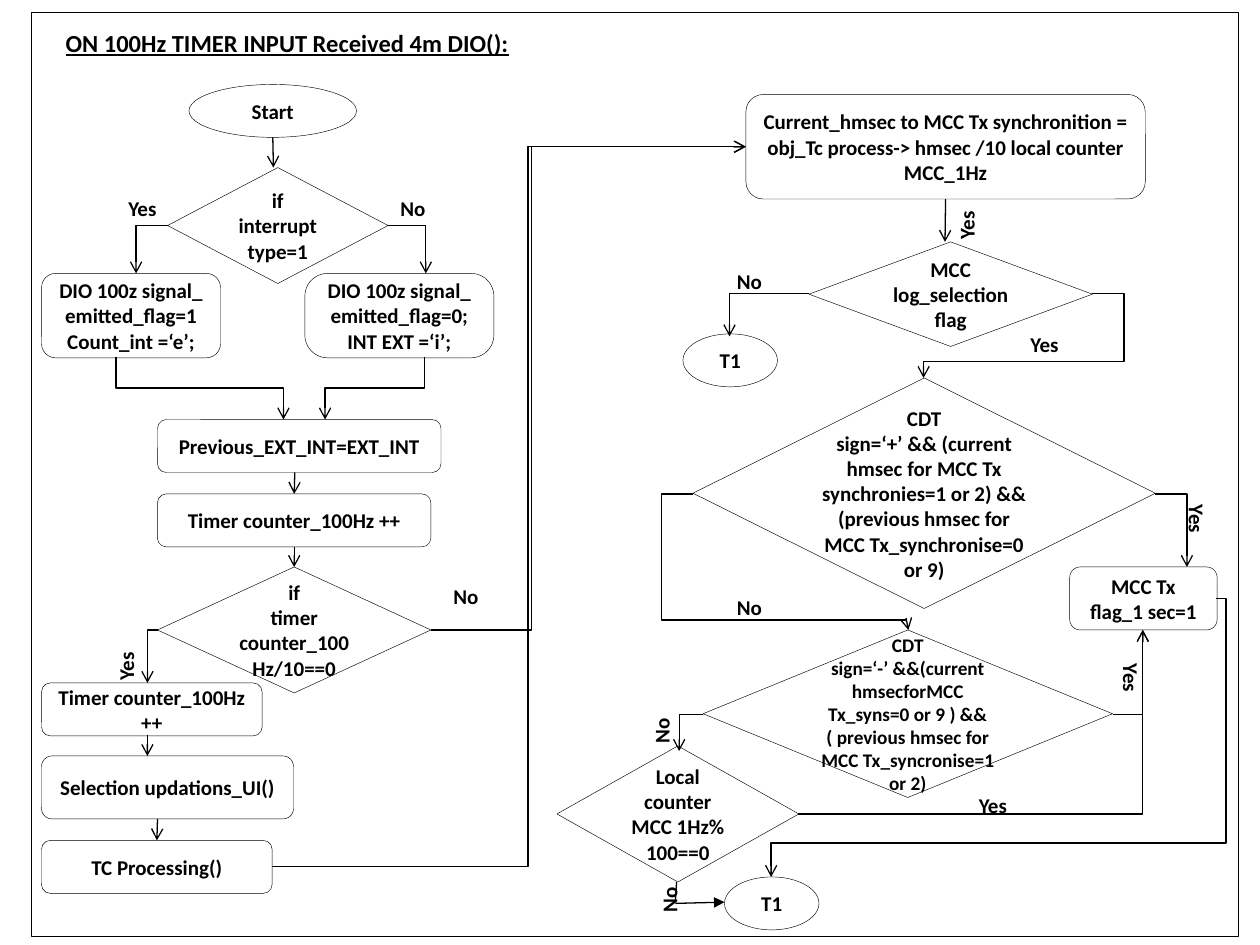
from lxml import etree
from pptx import Presentation
from pptx.dml.color import RGBColor
from pptx.enum.shapes import MSO_CONNECTOR, MSO_SHAPE
from pptx.enum.text import MSO_ANCHOR, MSO_AUTO_SIZE, PP_ALIGN
from pptx.oxml.ns import qn
from pptx.util import Inches, Pt

OVAL, DECISION = MSO_SHAPE.OVAL, MSO_SHAPE.FLOWCHART_DECISION
STEP, FRAME = MSO_SHAPE.ROUNDED_RECTANGLE, MSO_SHAPE.RECTANGLE
STRAIGHT, ELBOW = MSO_CONNECTOR.STRAIGHT, MSO_CONNECTOR.ELBOW
TOP, LEFT, BOTTOM, RIGHT = range(4)
INK = "000000"
LABEL_SIZE = (0.5, 0.3)

LEFT_NODES = {
    "start": (OVAL, 1.25, 0.17, 1.33, 0.42, "Start"),
    "interrupt": (DECISION, 1.08, 0.83, 1.75, 0.92, "if\ninterrupt type=1"),
    "internal": (STEP, 0.08, 1.67, 1.42, 0.67,
                 "DIO 100z signal_ emitted_flag=1\nCount_int =‘e’;"),
    "external": (STEP, 2.17, 1.67, 1.5, 0.67,
                 "DIO 100z signal_ emitted_flag=0; INT EXT =‘i’;"),
    "previous": (STEP, 1, 2.83, 2.25, 0.42, "Previous_EXT_INT=EXT_INT"),
    "counter": (STEP, 1, 3.42, 2.17, 0.42, "Timer counter_100Hz ++"),
    "tenth": (DECISION, 1, 4, 2.17, 1, "if\ntimer counter_100Hz/10==0"),
    "recount": (STEP, 0.08, 4.92, 1.75, 0.42, "Timer counter_100Hz ++"),
    "selection": (STEP, 0.08, 5.5, 2, 0.5, "Selection updations_UI()"),
    "processing": (STEP, 0.08, 6.17, 1.83, 0.42, "TC Processing()"),
}
LEFT_ARROWS = [
    ((1.92, 0.58), (1.92, 0.83), "start", None, "arrow"),
    ((2.09, 3.25), (2.08, 3.42), None, "counter", "arrow"),
    ((2.08, 3.83), (2.08, 4), "counter", "tenth", "arrow"),
    ((0.92, 5.33), (0.92, 5.5), None, None, "arrow"),
    ((1, 6), (1, 6.17), None, "processing", "arrow"),
]
LEFT_ROUTES = [
    [(2.83, 1.29), (3.13, 1.29), (3.13, 1.67)],
    [(1.08, 1.29), (0.83, 1.29), (0.83, 1.67)],
    [(0.67, 2.33), (0.67, 2.58), (2, 2.58), (2, 2.83)],
    [(3.12, 2.33), (3.12, 2.58), (2.33, 2.58), (2.33, 2.83)],
    [(1, 4.5), (0.92, 4.5), (0.92, 4.92)],
]
LEFT_LABELS = [("Yes", 0.67, 1, 0), ("No", 2.83, 1, 0),
               ("Yes", 0.5, 4.6, 270), ("No", 3.25, 4.08, 0)]

RIGHT_NODES = {
    "current": (STEP, 1.67, 0.25, 3.17, 0.83,
                "Current_hmsec to MCC Tx synchronition = obj_Tc process-> "
                "hmsec /10 local counter MCC_1Hz"),
    "log": (DECISION, 2.17, 1.42, 2.25, 0.83, "MCC log_selection flag"),
    "plus": (DECISION, 1.25, 2.5, 3.67, 1.83,
             "CDT\nsign=‘+’ && (current hmsec for MCC Tx synchronies=1 or 2) && "
             "(previous hmsec for MCC Tx_synchronise=0 or 9)"),
    "flag": (STEP, 4.24, 4, 1.17, 0.5, "MCC Tx flag_1 sec=1"),
    "minus": (DECISION, 1.33, 4.5, 3.25, 1.33,
              "CDT\nsign=‘-’ &&(current hmsecforMCC Tx_syns=0 or 9 ) && "
              "( previous hmsec for MCC Tx_syncronise=1 or 2)"),
    "local": (DECISION, 0.17, 5.42, 1.92, 1.08, "Local counter MCC 1Hz% 100==0"),
    "last_exit": (OVAL, 1.5, 6.46, 0.75, 0.42, "T1"),
    "log_exit": (OVAL, 1.17, 2.15, 0.75, 0.42, "T1"),
}
RIGHT_ARROWS = [
    ((3.25, 1.08), (3.25, 1.42), "current", None, "arrow"),
    ((1.12, 6.5), (1.11, 6.66), None, None, None),
    ((1.11, 6.67), (1.5, 6.66), None, None, "triangle"),
]
RIGHT_ROUTES = [
    [(4.42, 1.83), (4.67, 1.83), (4.67, 2.37), (3.08, 2.37), (3.08, 2.5)],
    [(1.25, 3.42), (1, 3.42), (1, 4.42), (2.96, 4.42), (2.96, 4.5)],
    [(4.92, 3.42), (5.17, 3.42), (5.17, 4)],
    [(4.58, 5.17), (4.82, 5.17), (4.82, 4.5)],
    [(1.33, 5.17), (1.14, 5.17), (1.14, 5.46)],
    [(2.17, 1.83), (1.54, 1.83), (1.54, 2.17)],
    [(5.4, 4.25), (5.48, 4.25), (5.48, 6.19), (1.87, 6.19), (1.87, 6.46)],
    [(2.08, 5.96), (4.82, 5.96), (4.82, 4.5)],
]
RIGHT_LABELS = [("Yes", 5, 3.51, 90), ("No", 1.5, 4.17, 0), ("No", 1.5, 1.58, 0),
                ("Yes", 3.83, 2.08, 0), ("Yes", 3.17, 1.1, 270),
                ("No", 0.75, 5.1, 270), ("Yes", 4.48, 4.77, 90),
                ("Yes", 3.42, 5.74, 0), ("No", 0.81, 6.44, 270)]


def color(value):
    return RGBColor.from_string(value)


def write(frame, text, size=12, align=PP_ALIGN.LEFT, anchor=MSO_ANCHOR.TOP,
          underline=None, inset=(0.1, 0.05)):
    across, down = map(Inches, inset)
    frame.text = text
    layout = {"word_wrap": True, "auto_size": MSO_AUTO_SIZE.NONE,
              "vertical_anchor": anchor, "margin_left": across,
              "margin_right": across, "margin_top": down, "margin_bottom": down}
    for key, value in layout.items():
        setattr(frame, key, value)
    style = {"name": "Calibri", "size": Pt(size), "bold": True,
             "underline": underline}
    for paragraph in frame.paragraphs:
        paragraph.alignment = align
        for run in paragraph.runs:
            for key, value in style.items():
                setattr(run.font, key, value)
            run.font.color.rgb = color(INK)


def outline(shape, width):
    shape.fill.background()
    shape.shadow.inherit = False
    shape.line.color.rgb = color(INK)
    shape.line.width = Pt(width)


def add_head(line, head):
    ln = line._element.spPr.find(qn("a:ln"))
    etree.SubElement(ln, qn("a:tailEnd"), type=head)


def add_link(slide, kind, start, end, head):
    link = slide.shapes.add_connector(kind, *map(Inches, start + end))
    link.line.color.rgb = color(INK)
    link.line.width = Pt(0.75)
    if head:
        add_head(link, head)
    etree.SubElement(link._element.spPr, qn("a:effectLst"))
    return link


def add_node(slide, kind, left, top, width, height, text, **style):
    node = slide.shapes.add_shape(kind, *map(Inches, (left, top, width, height)))
    outline(node, 0.25)
    write(node.text_frame, text, align=PP_ALIGN.CENTER,
          anchor=MSO_ANCHOR.MIDDLE, **style)
    return node


def add_route(slide, points):
    corners = [(Inches(x), Inches(y)) for x, y in points]
    builder = slide.shapes.build_freeform(*corners[0])
    builder.add_line_segments(corners[1:], close=False)
    route = builder.convert_to_shape()
    outline(route, 0.75)
    add_head(route, "arrow")


def draw_column(slide, origin, nodes, arrows, routes, labels, styles):
    def place(point):
        return origin[0] + point[0], origin[1] + point[1]

    placed = {}
    for key, (kind, x, y, width, height, text) in nodes.items():
        placed[key] = add_node(slide, kind, *place((x, y)), width, height, text,
                               **styles.get(key, {}))
    for start, end, source, target, head in arrows:
        arrow = add_link(slide, STRAIGHT, place(start), place(end), head)
        if source:
            arrow.begin_connect(placed[source], BOTTOM)
        if target:
            arrow.end_connect(placed[target], TOP)
    for points in routes:
        add_route(slide, [place(point) for point in points])
    for text, x, y, rotation in labels:
        label = slide.shapes.add_textbox(*map(Inches, place((x, y)) + LABEL_SIZE))
        label.rotation = rotation
        write(label.text_frame, text)
    return placed


def link_columns(slide, source, target, bend):
    link = add_link(slide, ELBOW, (0, 0), (1, 1), "arrow")
    link.begin_connect(source, RIGHT)
    link.end_connect(target, LEFT)
    guides = link._element.spPr.find(qn("a:prstGeom")).find(qn("a:avLst"))
    etree.SubElement(guides, qn("a:gd"), name="adj1",
                     fmla=f"val {round(bend * 100000)}")


def draw_heading(slide, left, top, width, height):
    title = slide.shapes.title
    box = {"left": left, "top": top, "width": width, "height": height}
    for key, value in box.items():
        setattr(title, key, Inches(value))
    write(title.text_frame, "ON 100Hz TIMER INPUT Received 4m DIO():", 14,
          underline=True)


def main():
    deck = Presentation()
    deck.slide_width, deck.slide_height = Inches(10), Inches(7.5)
    slide = deck.slides.add_slide(deck.slide_layouts[5])
    border = slide.shapes.add_shape(FRAME, *map(Inches, (0.25, 0.1, 9.58, 7.33)))
    outline(border, 0.25)
    draw_heading(slide, 0.42, 0.17, 4.75, 0.34)
    timer = draw_column(slide, (0.25, 0.5), LEFT_NODES, LEFT_ARROWS, LEFT_ROUTES,
                        LEFT_LABELS, {"interrupt": {"inset": (0.02, 0.01)}})
    timer["external"].adjustments[0] = 0.27
    sync = draw_column(slide, (4.25, 0.5), RIGHT_NODES, RIGHT_ARROWS, RIGHT_ROUTES,
                       RIGHT_LABELS, {"minus": {"size": 11}})
    for key, bend in (("tenth", 0.32), ("processing", 0.54)):
        link_columns(slide, timer[key], sync["current"], bend)
    deck.save("out.pptx")


if __name__ == "__main__":
    main()
